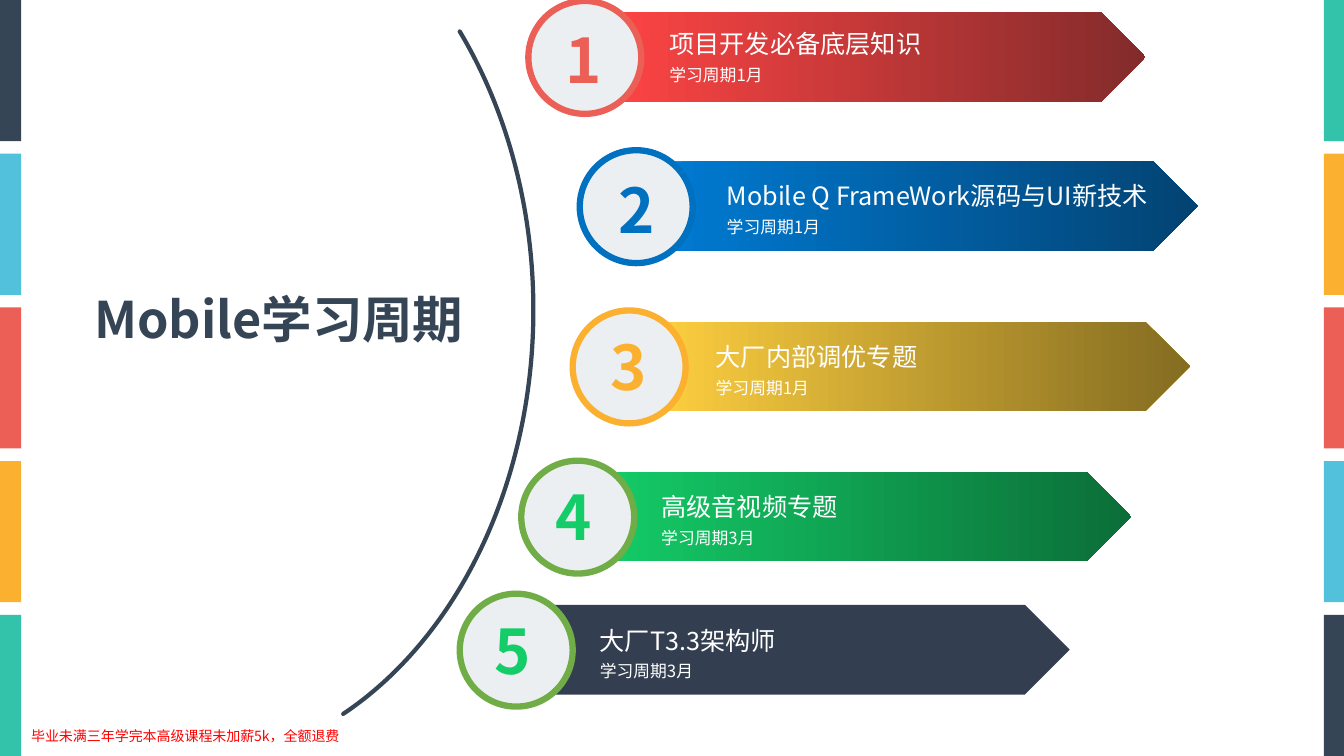
from pptx import Presentation
from pptx.util import Inches, Pt
from pptx.dml.color import RGBColor
from pptx.enum import shapes, text

FONT = "Noto Sans CJK SC"
NAVY, WHITE, PALE = "364555", "FFFFFF", "ECEFF1"
TITLE = "Mobile学习周期"
FOOTNOTE = "毕业未满三年学完本高级课程未加薪5k，全额退费"
STRIPS = ["33C3AB", "FCB030", "EB5F56", "52C2DC", NAVY]
PLATE_W, PLATE_H, CIRCLE = 5.34, 0.89, 1.12

# heading, period, plate colours, ring, digit colour,
# plate (left, top), circle left, digit (left, top), label (left, top, width)
STEPS = [
    ("项目开发必备底层知识", "学习周期1月", ("FE4444", "832B2B"), "EB5F56", "EB5F56",
     (6.02, 0.12), 5.24, (5.38, 0.17), (6.54, 0.14, 4.15)),
    ("Mobile Q FrameWork源码与UI新技术", "学习周期1月", ("007BD3", "034373"), "0070C0", "0070C0",
     (6.54, 1.6), 5.75, (5.9, 1.66), (7.11, 1.65, 4.77)),
    ("大厂内部调优专题", "学习周期1月", ("FECF40", "846C21"), "FCB030", "FCB030",
     (6.46, 3.19), 5.68, (5.83, 3.21), (7, 3.25, 4.15)),
    ("高级音视频专题", "学习周期3月", ("14CD68", "0B6E38"), "70AD47", "14CD68",
     (5.88, 4.68), 5.17, (5.28, 4.7), (6.46, 4.74, 4.15)),
    ("大厂T3.3架构师", "学习周期3月", ("333F50",), "70AD47", "14CD68",
     (5.27, 6), 4.56, (4.67, 6.03), (5.85, 6.06, 4.15)),
]

prs = Presentation()
prs.slide_width, prs.slide_height = Inches(13.33), Inches(7.5)
s = prs.slides.add_slide(prs.slide_layouts[6])


def rgb(value):
    return RGBColor.from_string(value)


def add_shape(kind, x, y, w, h, fills=(), line=None, line_pt=0):
    sp = s.shapes.add_shape(kind, Inches(x), Inches(y), Inches(w), Inches(h))
    sp.shadow.inherit = False
    if len(fills) == 2:
        sp.fill.gradient()
        sp.fill.gradient_angle = 0
        for stop, color, position in zip(sp.fill.gradient_stops, fills, (0, 1)):
            stop.color.rgb = rgb(color)
            stop.position = position
    elif fills:
        sp.fill.solid()
        sp.fill.fore_color.rgb = rgb(fills[0])
    else:
        sp.fill.background()
    if line:
        sp.line.color.rgb = rgb(line)
        sp.line.width = Pt(line_pt)
    else:
        sp.line.fill.background()
    return sp


def add_text(x, y, w, h, lines, color, bold=False, align=None, spacing=None):
    tf = s.shapes.add_textbox(Inches(x), Inches(y), Inches(w), Inches(h)).text_frame
    tf.word_wrap = True
    tf.auto_size = text.MSO_AUTO_SIZE.SHAPE_TO_FIT_TEXT
    for i, (words, size) in enumerate(lines):
        p = tf.add_paragraph() if i else tf.paragraphs[0]
        p.alignment = align
        p.line_spacing = spacing
        r = p.add_run()
        r.text = words
        r.font.name = FONT
        r.font.size = Pt(size)
        r.font.bold = bold
        r.font.color.rgb = rgb(color)
        # East Asian typeface for the Chinese characters
        ea = r.font._element.makeelement(
            "{http://schemas.openxmlformats.org/drawingml/2006/main}ea", {"typeface": FONT})
        r.font._element.append(ea)


kinds, center = shapes.MSO_SHAPE, text.PP_ALIGN.CENTER

# Curve: angles in units of 100000/60000 degree, then zero thickness
arc = add_shape(kinds.BLOCK_ARC, -1.7, -1.44, 6.99, 9.03, line=NAVY, line_pt=3)
for i, value in enumerate((189, 40.883, 0)):
    arc.adjustments[i] = value

# Title
add_text(0.57, 2.81, 4.39, 0.71, [(TITLE, 36)], NAVY, True, center)

# Edge strips: the left side runs in reverse order
strip_h = 1.4
pitch = (7.5 - strip_h) / (len(STRIPS) - 1)
for x, colors in ((13.13, STRIPS), (0, STRIPS[::-1])):
    for i, color in enumerate(colors):
        add_shape(kinds.RECTANGLE, x, i * pitch, 0.21, strip_h, (color,))

# Numbered steps
for number, step in enumerate(STEPS, 1):
    heading, period, fills, ring, digit, (px, py), cx, (dx, dy), (lx, ly, lw) = step
    add_shape(kinds.PENTAGON, px, py, PLATE_W, PLATE_H, fills)
    add_shape(kinds.OVAL, cx, py - 0.11, CIRCLE, CIRCLE, (PALE,), ring, 4.5)
    add_text(dx, dy, 0.82, 0.84, [(str(number), 44)], digit, True, center)
    add_text(lx, ly, lw, 0.76, [(heading, 18), (period, 12)], WHITE, spacing=1.3)

# Footnote
add_text(0.21, 7.12, 10.52, 0.32, [(FOOTNOTE, 10)], "FF0000", spacing=1.3)

prs.save("out.pptx")
